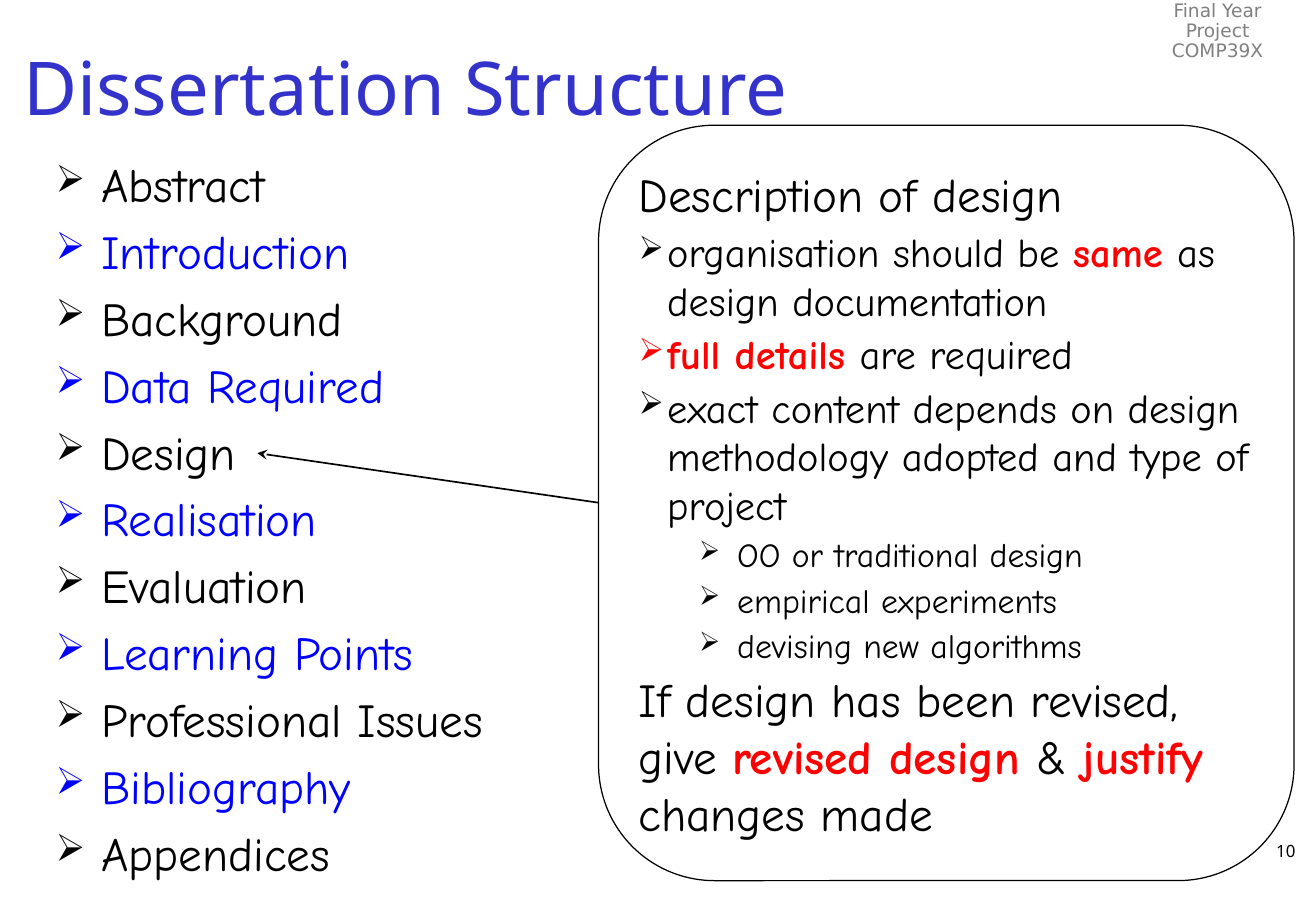
"""Build the Dissertation Structure slide."""
from dataclasses import dataclass

from lxml.etree import SubElement
from pptx import Presentation
from pptx.dml.color import RGBColor
from pptx.enum.shapes import MSO_CONNECTOR, MSO_SHAPE
from pptx.enum.text import MSO_ANCHOR, MSO_AUTO_SIZE, PP_ALIGN
from pptx.oxml.ns import qn
from pptx.util import Pt

BLACK, BLUE, RED, GREY, TITLE_BLUE = "000000", "0000FF", "FF0000", "808080", "3333CC"
HAND, SANS, HEADER_FONT = "Comic Neue", "Noto Sans", "DejaVu Sans"


@dataclass(frozen=True)
class Span:
    text: str
    strong: bool = False


@dataclass(frozen=True)
class Para:
    spans: tuple[Span, ...]
    size: float
    font: str = HAND
    color: str = BLACK
    align: PP_ALIGN = PP_ALIGN.LEFT
    before: float = 0
    after: float = 0
    line_spacing: float = 1
    margin: float = 0
    hanging: float = 0
    bullet: str = ""


def rgb(value: str) -> RGBColor:
    return RGBColor.from_string(value)


def add_bullet(paragraph, item: Para) -> None:
    props = paragraph._p.get_or_add_pPr()
    props.set("marL", str(Pt(item.margin)))
    props.set("indent", str(-Pt(item.hanging)))
    color = SubElement(props, qn("a:buClr"))
    SubElement(color, qn("a:srgbClr"), val=item.bullet)
    SubElement(props, qn("a:buSzPct"), val="80000")
    SubElement(props, qn("a:buChar"), char="➢")


def write(frame, items: list[Para], anchor: MSO_ANCHOR = MSO_ANCHOR.TOP) -> None:
    frame.word_wrap = True
    frame.auto_size = MSO_AUTO_SIZE.NONE
    frame.vertical_anchor = anchor
    for index, item in enumerate(items):
        paragraph = frame.add_paragraph() if index else frame.paragraphs[0]
        if item.bullet:
            add_bullet(paragraph, item)
        paragraph.alignment = item.align
        paragraph.space_before = Pt(item.before)
        paragraph.space_after = Pt(item.after)
        paragraph.line_spacing = item.line_spacing
        paragraph.font.name = item.font
        paragraph.font.size = Pt(item.size)
        paragraph.font.color.rgb = rgb(item.color)
        for span in item.spans:
            run = paragraph.add_run()
            run.text = span.text
            if span.strong:
                run.font.bold = True
                run.font.color.rgb = rgb(RED)


def add_text(page, left: float, top: float, width: float, height: float,
             items: list[Para]) -> None:
    box = page.shapes.add_textbox(Pt(left), Pt(top), Pt(width), Pt(height))
    write(box.text_frame, items)


def chapter(name: str, color: str) -> Para:
    return Para((Span(name),), 28, color=color, before=3, after=3,
                margin=27, hanging=27, bullet=color)


def statement(*spans: Span) -> Para:
    return Para(spans, 28, before=3)


def point(*spans: Span) -> Para:
    bullet = RED if spans[0].strong else BLACK
    return Para(spans, 24, before=3, margin=17, hanging=17, bullet=bullet)


def example(text: str) -> Para:
    return Para((Span(text),), 20, before=3, margin=58.5, hanging=22.5, bullet=BLACK)


def add_panel(page, items: list[Para]) -> None:
    panel = page.shapes.add_shape(MSO_SHAPE.ROUNDED_RECTANGLE,
                                  Pt(355), Pt(74.2), Pt(412.5), Pt(447.8))
    panel.shadow.inherit = False
    panel.fill.background()
    panel.line.color.rgb = rgb(BLACK)
    panel.line.width = Pt(0.75)
    frame = panel.text_frame
    frame.margin_left = frame.margin_top = frame.margin_bottom = Pt(3.6)
    frame.margin_right = Pt(0)
    write(frame, items, MSO_ANCHOR.MIDDLE)


def add_arrow(page, start: tuple[float, float], end: tuple[float, float]) -> None:
    arrow = page.shapes.add_connector(MSO_CONNECTOR.STRAIGHT, *map(Pt, start + end))
    arrow.line.color.rgb = rgb(BLACK)
    arrow.line.width = Pt(1)
    SubElement(arrow.line._get_or_add_ln(), qn("a:tailEnd"), type="stealth")
    SubElement(arrow._element.spPr, qn("a:effectLst"))


CHAPTERS = ["Abstract", "Introduction", "Background", "Data Required", "Design",
            "Realisation", "Evaluation", "Learning Points", "Professional Issues",
            "Bibliography", "Appendices"]

DESIGN_NOTES = [
    statement(Span("Description of design")),
    point(Span("organisation should be "), Span("same ", True),
          Span("as design documentation")),
    point(Span("full details ", True), Span("are required")),
    point(Span("exact content depends on design methodology adopted and type of project")),
    example("OO or traditional design"),
    example("empirical experiments"),
    example("devising new algorithms"),
    statement(Span("If design has been revised, give "), Span("revised design ", True),
              Span("& "), Span("justify ", True), Span("changes made")),
]


def main() -> None:
    deck = Presentation()
    deck.slide_width, deck.slide_height = Pt(780.48), Pt(540)
    page = deck.slides.add_slide(deck.slide_layouts[5])

    title = page.shapes.title
    title.left, title.top, title.width, title.height = map(Pt, (6.5, 5.8, 773, 90))
    write(title.text_frame, [Para((Span("Dissertation Structure"),), 44, SANS, TITLE_BLUE)],
          MSO_ANCHOR.MIDDLE)

    add_text(page, 670.3, -2.9, 103.7, 31,
             [Para((Span(text),), 11, HEADER_FONT, GREY, PP_ALIGN.CENTER, line_spacing=0.9)
              for text in ("Final Year Project", "COMP39X")])
    add_text(page, 26, 88.6, 734.4, 432,
             [chapter(name, BLUE if index % 2 else BLACK)
              for index, name in enumerate(CHAPTERS)])
    add_text(page, 612.7, 494.6, 162.7, 36,
             [Para((Span("10"),), 10, SANS, align=PP_ALIGN.RIGHT)])
    add_panel(page, DESIGN_NOTES)
    add_arrow(page, (355, 298), (152.6, 268.6))
    deck.save("out.pptx")


if __name__ == "__main__":
    main()
